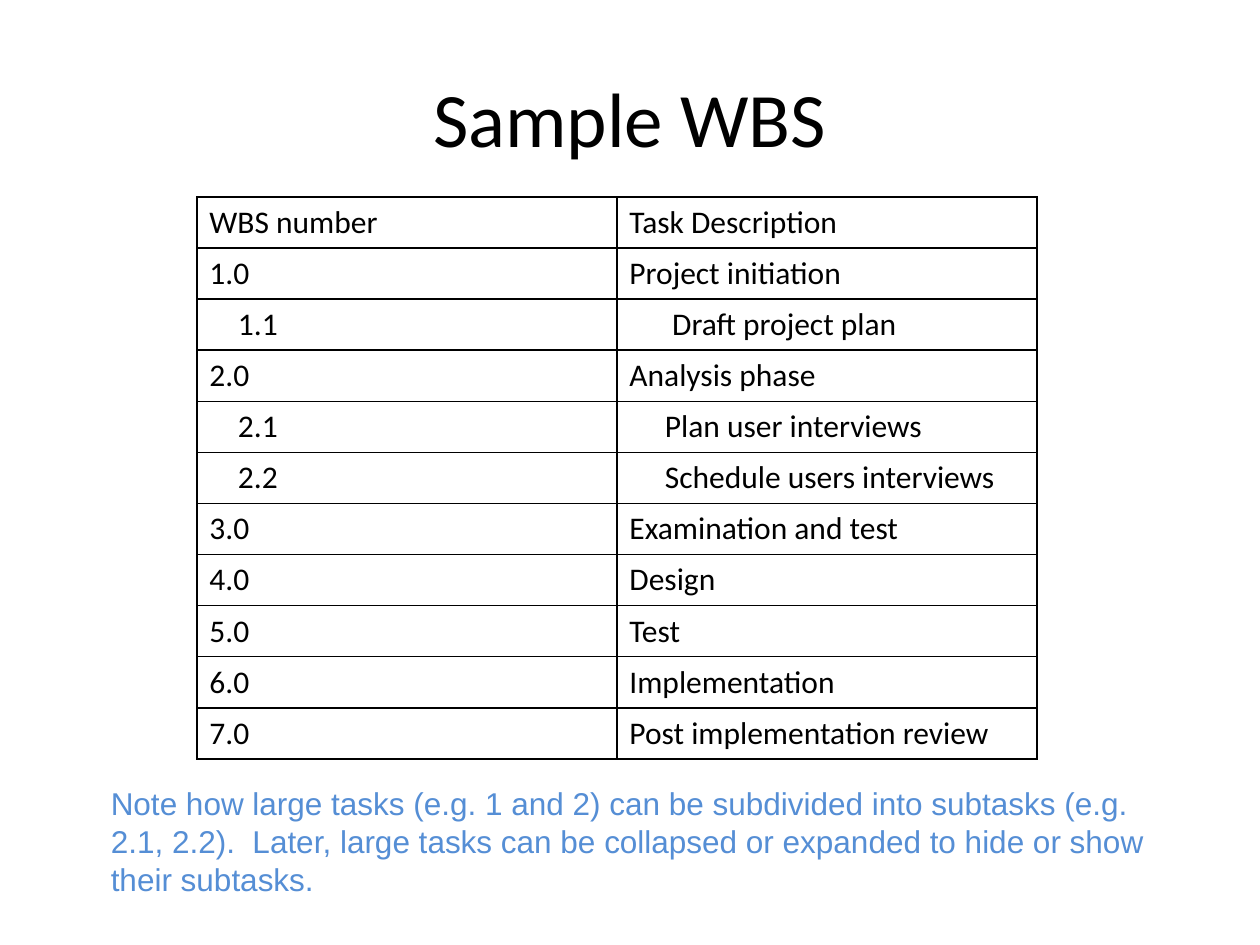
from dataclasses import dataclass

from lxml.etree import SubElement
from pptx import Presentation
from pptx.dml.color import RGBColor
from pptx.enum.text import MSO_ANCHOR, PP_ALIGN
from pptx.oxml.ns import qn
from pptx.slide import Slide
from pptx.util import Pt

TASKS = [
    ("WBS number", "Task Description", 0, 0),
    ("1.0", "Project initiation", 0, 0),
    ("1.1", "Draft project plan", 16.2, 24.4),
    ("2.0", "Analysis phase", 0, 0),
    ("2.1", "Plan user interviews", 16.2, 20.3),
    ("2.2", "Schedule users interviews", 16.2, 20.3),
    ("3.0", "Examination and test", 0, 0),
    ("4.0", "Design", 0, 0),
    ("5.0", "Test", 0, 0),
    ("6.0", "Implementation", 0, 0),
    ("7.0", "Post implementation review", 0, 0),
]
NOTE = (
    "Note how large tasks (e.g. 1 and 2) can be subdivided into subtasks "
    "(e.g. 2.1, 2.2).  Later, large tasks can be collapsed or expanded "
    "to hide or show their subtasks."
)


def paint(color, code):
    color.rgb = RGBColor.from_string(code)


def write(frame, text, size=18, font="Calibri", ink="000000",
          align=PP_ALIGN.LEFT, indent=0):
    frame.word_wrap = True
    para = frame.paragraphs[0]
    para.alignment = align
    if indent:
        para._p.get_or_add_pPr().set("marL", str(Pt(indent)))
    run = para.add_run()
    run.text = text
    run.font.size = Pt(size)
    run.font.name = font
    paint(run.font.color, ink)


@dataclass
class Deck:
    """Holds the slide and the style of its parts."""

    slide: Slide
    rule: str = "000000"
    weight: float = 0.96

    def title(self, text, box, **style):
        frame = self.slide.shapes.add_textbox(*map(Pt, box)).text_frame
        frame.vertical_anchor = MSO_ANCHOR.MIDDLE
        write(frame, text, **style)

    def note(self, text, left, top, width, height, **style):
        right, base = left + width, top + height
        pen = self.slide.shapes.build_freeform(Pt(left), Pt(top))
        ends = [(right, top), (right, base), (left, base)]
        pen.add_line_segments([(Pt(x), Pt(y)) for x, y in ends], close=True)
        shape = pen.convert_to_shape()
        shape.shadow.inherit = False
        shape.fill.background()
        shape.line.fill.background()
        shape.text_frame.vertical_anchor = MSO_ANCHOR.TOP
        write(shape.text_frame, text, **style)

    def border(self, cell):
        props = cell._tc.get_or_add_tcPr()
        for side in ("lnL", "lnR", "lnT", "lnB"):
            line = SubElement(props, qn(f"a:{side}"), w=str(Pt(self.weight)))
            fill = SubElement(line, qn("a:solidFill"))
            SubElement(fill, qn("a:srgbClr"), val=self.rule)

    def table(self, tasks, left, top, width, height):
        shape = self.slide.shapes.add_table(
            len(tasks), 2, Pt(left), Pt(top), Pt(width), Pt(height))
        grid = shape.table
        grid.first_row = grid.horz_banding = False
        for row, (code, task, *shifts) in zip(grid.rows, tasks):
            row.height = Pt(height / len(tasks))
            for cell, text, shift in zip(row.cells, (code, task), shifts):
                self.border(cell)
                cell.fill.background()
                cell.vertical_anchor = MSO_ANCHOR.MIDDLE
                write(cell.text_frame, text, indent=shift)


def main():
    show = Presentation()
    show.slide_width, show.slide_height = Pt(720), Pt(540)
    deck = Deck(show.slides.add_slide(show.slide_layouts[6]))
    deck.title("Sample WBS", (36, 21.6, 648, 90),
               size=44, align=PP_ALIGN.CENTER)
    deck.table(TASKS, 112.5, 112.5, 480, 321.2)
    deck.note(NOTE, 56.2, 444.5, 618.5, 72, font="Arial", ink="558ED5")
    show.save("out.pptx")


if __name__ == "__main__":
    main()
